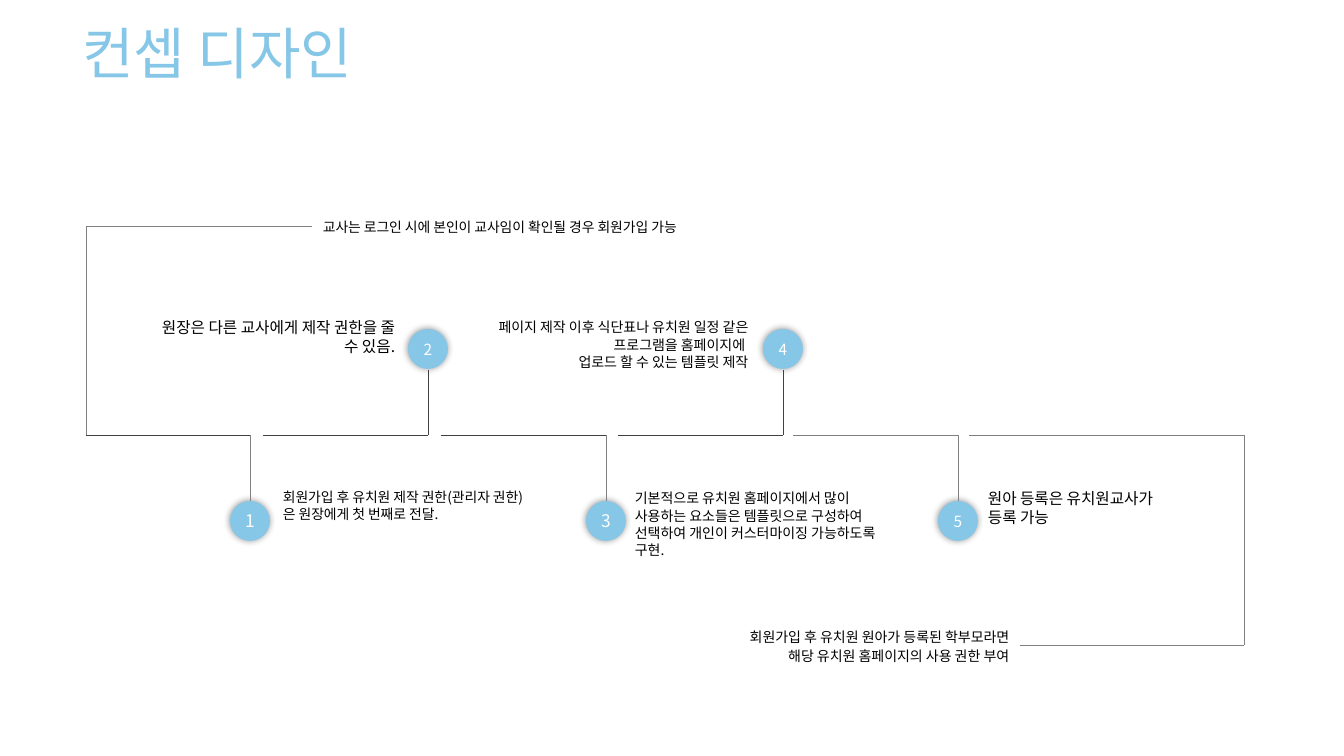
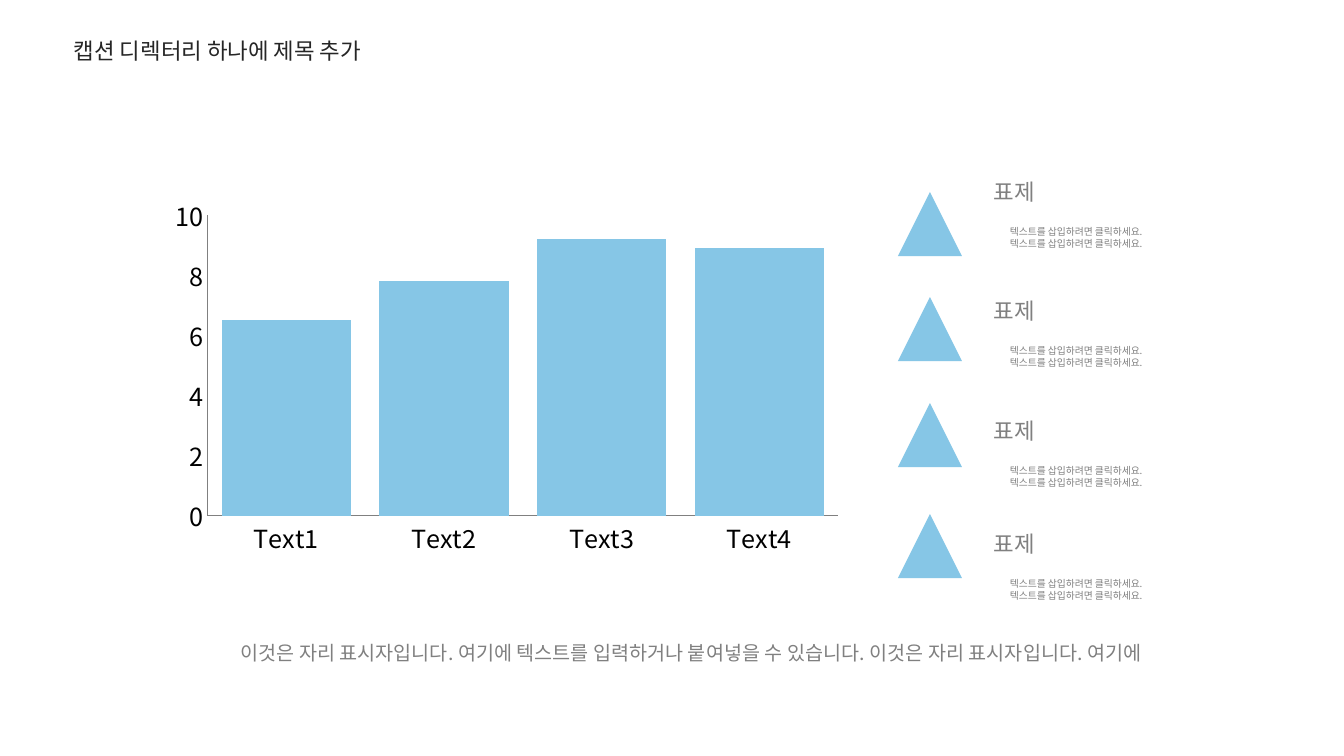
from lxml import etree
from pptx import Presentation
from pptx import util as u
from pptx.chart.data import CategoryChartData
from pptx.dml.color import RGBColor
from pptx.enum import chart as ch, shapes, text
from pptx.oxml.ns import qn

SKY, GRAY, DARK, INK, BLACK, WHITE = "86C6E6", "808080", "404040", "262626", "000000", "FFFFFF"
KR, SC = "Noto Sans CJK KR", "Noto Sans CJK SC"
LEFT, MID, RIGHT = text.PP_ALIGN.LEFT, text.PP_ALIGN.CENTER, text.PP_ALIGN.RIGHT
FORM = shapes.MSO_SHAPE
SCALE = 914400 / 100.8


def px(*nums):
    return [u.Emu(round(n * SCALE)) for n in nums]


def tint(code):
    return RGBColor.from_string(code)


def apply(item, vals):
    for key, val in vals.items():
        setattr(item, key, val)


def node(top, tag, **vals):
    return etree.SubElement(top, qn(tag), {k: str(v) for k, v in vals.items()})


class Deck:
    def __init__(self):
        self.prs = Presentation()
        wide, high = px(1344, 756)
        apply(self.prs, {"slide_width": wide, "slide_height": high})

    def page(self):
        self.slide = self.prs.slides.add_slide(self.prs.slide_layouts[6])

    def put(self, frame, lines, size, face, hue, align=LEFT, gap=None):
        frame.word_wrap = True
        for i, words in enumerate(lines):
            para = frame.add_paragraph() if i else frame.paragraphs[0]
            apply(para, {"alignment": align, "line_spacing": gap})
            run = para.add_run()
            run.text = words
            apply(run.font, {"size": u.Pt(size), "name": face})
            run.font.color.rgb = tint(hue)
            node(run.font._element, "a:ea", typeface=face)

    def label(self, box, lines, size, face=SC, hue=BLACK, align=LEFT, gap=None, pad=None):
        frame = self.slide.shapes.add_textbox(*px(*box)).text_frame
        if pad is not None:
            apply(frame, {"margin_top": pad, "margin_bottom": pad})
        self.put(frame, lines, size, face, hue, align, gap)

    def title(self, words, size, high, hue, gap=None):
        self.label((6, 32, 423, high), [words], size, KR, hue, MID, gap)

    def line(self, x1, y1, x2, y2, hue=GRAY, end=None):
        wire = self.slide.shapes.add_connector(
            shapes.MSO_CONNECTOR.STRAIGHT, *px(x1, y1, x2, y2))
        wire.line.width = u.Pt(0.5)
        wire.line.color.rgb = tint(hue)
        node(wire._element.spPr, "a:effectLst")
        if end is not None:
            wire.end_connect(end, 0)

    def shape(self, form, *box):
        item = self.slide.shapes.add_shape(form, *px(*box))
        item.fill.solid()
        item.fill.fore_color.rgb = tint(SKY)
        item.line.fill.background()
        item.shadow.inherit = False
        return item

    def badge(self, x, y, mark, size, face):
        disc = self.shape(FORM.OVAL, x - 20, y, 40, 40)
        glow = node(disc._element.spPr.find(qn("a:effectLst")), "a:outerShdw",
                    blurRad=u.Pt(5), dist=0, dir=0, algn="ctr", rotWithShape=0)
        node(node(glow, "a:srgbClr", val=BLACK), "a:alpha", val=40000)
        frame = disc.text_frame
        apply(frame, {"margin_left": 0, "margin_right": 0, "margin_top": 0,
                      "margin_bottom": 0, "vertical_anchor": text.MSO_ANCHOR.MIDDLE})
        self.put(frame, [mark], size, face, WHITE, MID)
        return disc

    def bars(self, box, names, vals):
        data = CategoryChartData()
        data.categories = names
        data.add_series("Series 1", vals)
        chart = self.slide.shapes.add_chart(
            ch.XL_CHART_TYPE.COLUMN_CLUSTERED, *px(*box), data).chart
        apply(chart, {"has_legend": False, "has_title": False})
        apply(chart.font, {"size": u.Pt(18), "name": SC})
        chart.font.color.rgb = tint(BLACK)
        plot = chart.plots[0]
        apply(plot, {"gap_width": 22, "overlap": -3, "vary_by_categories": False})
        fill = plot.series[0].format.fill
        fill.solid()
        fill.fore_color.rgb = tint(SKY)
        apply(chart.value_axis, {"minimum_scale": 0, "maximum_scale": 10, "major_unit": 2})
        for axis in (chart.category_axis, chart.value_axis):
            apply(axis, {"has_major_gridlines": False,
                         "major_tick_mark": ch.XL_TICK_MARK.NONE,
                         "minor_tick_mark": ch.XL_TICK_MARK.NONE})
            axis.format.line.width = u.Pt(0.75)
            axis.format.line.color.rgb = tint(GRAY)
        area = chart.element.find(".//" + qn("c:plotArea"))
        for old in area.findall(qn("c:layout")):
            area.remove(old)
        lay = node(area, "c:layout")
        area.insert(0, lay)
        spot = node(lay, "c:manualLayout")
        for tag, val in (("layoutTarget", "inner"), ("xMode", "edge"), ("yMode", "edge"),
                         ("x", 0.067), ("y", 0.033), ("w", 0.932), ("h", 0.757)):
            node(spot, "c:" + tag, val=val)


def concept(deck):
    deck.page()
    base, low, high = 435, 501, 329
    left, right = 86, 1244
    deck.line(312, 226, left, 226)
    deck.line(left, 226, left, base)
    deck.line(right, base, right, 645)
    deck.line(right, 645, 1020, 645)
    for x1, x2, hue in ((left, 250, DARK), (263, 428, DARK), (441, 606, DARK),
                        (618, 783, DARK), (793, 958, GRAY), (969, right, GRAY)):
        deck.line(x1, base, x2, base, hue)
    for x, mark, size, face in ((250, "1", 12.4, SC), (606, "3", 12.4, SC),
                                (958, "5", 11, KR)):
        disc = deck.badge(x, low, mark, size, face)
        deck.line(x, base, x, low, end=disc)
    for x, mark in ((428, "2"), (783, "4")):
        deck.badge(x, high, mark, 11, KR)
        deck.line(x, 370, x, base, DARK)
    for box, lines, size, align, gap in (
        ((313, 214, 451, 25),
         ["교사는 로그인 시에 본인이 교사임이 확인될 경우 회원가입 가능"], 9.9, LEFT, None),
        ((535, 621, 484, 49),
         ["회원가입 후 유치원 원아가 등록된 학부모라면",
          "해당 유치원 홈페이지의 사용 권한 부여"], 10, RIGHT, 1.14),
        ((273, 484, 263, 45),
         ["회원가입 후 유치원 제작 권한(관리자 권한)은 원장에게 첫 번째로 전달."],
         9.9, LEFT, None),
        ((625, 484, 263, 81),
         ["기본적으로 유치원 홈페이지에서 많이 사용하는 요소들은 템플릿으로 구성하여 "
          "선택하여 개인이 커스터마이징 가능하도록 구현."], 10, LEFT, 1.04),
        ((142, 313, 263, 45),
         ["원장은 다른 교사에게 제작 권한을 줄 수 있음."], 11.2, RIGHT, None),
        ((462, 313, 296, 70),
         ["페이지 제작 이후 식단표나 유치원 일정 같은 프로그램을 홈페이지에 ",
          "업로드 할 수 있는 템플릿 제작"], 10, RIGHT, 1.04),
        ((978, 484, 263, 45),
         ["원아 등록은 유치원교사가", "등록 가능"], 11.2, LEFT, None),
    ):
        deck.label(box, lines, size, align=align, gap=gap)
    deck.title("컨셉 디자인", 40, 65, SKY, 0.7)


def caption(deck):
    deck.page()
    deck.bars((162, 197, 677, 402), [f"Text{n}" for n in range(1, 5)], (6.5, 7.8, 9.2, 8.9))
    for peak, head in ((192, 173), (297, 292), (403, 412), (514, 525)):
        deck.shape(FORM.ISOSCELES_TRIANGLE, 898, peak, 64, 64)
        deck.label((1000, head + 48, 243, 33), ["텍스트를 삽입하려면 클릭하세요."] * 2,
                   7, KR, GRAY)
        deck.label((984, head, 243, 37), ["표제"], 16, KR, GRAY)
    deck.label((180, 641, 1022, 108),
               ["이것은 자리 표시자입니다. 여기에 텍스트를 입력하거나 붙여넣을 수 있습니다. "
                "이것은 자리 표시자입니다. 여기에"], 14, KR, GRAY, MID, pad=0)
    deck.title("캡션 디렉터리 하나에 제목 추가", 16, 37, INK)


def main():
    deck = Deck()
    concept(deck)
    caption(deck)
    deck.prs.save("out.pptx")


if __name__ == "__main__":
    main()
